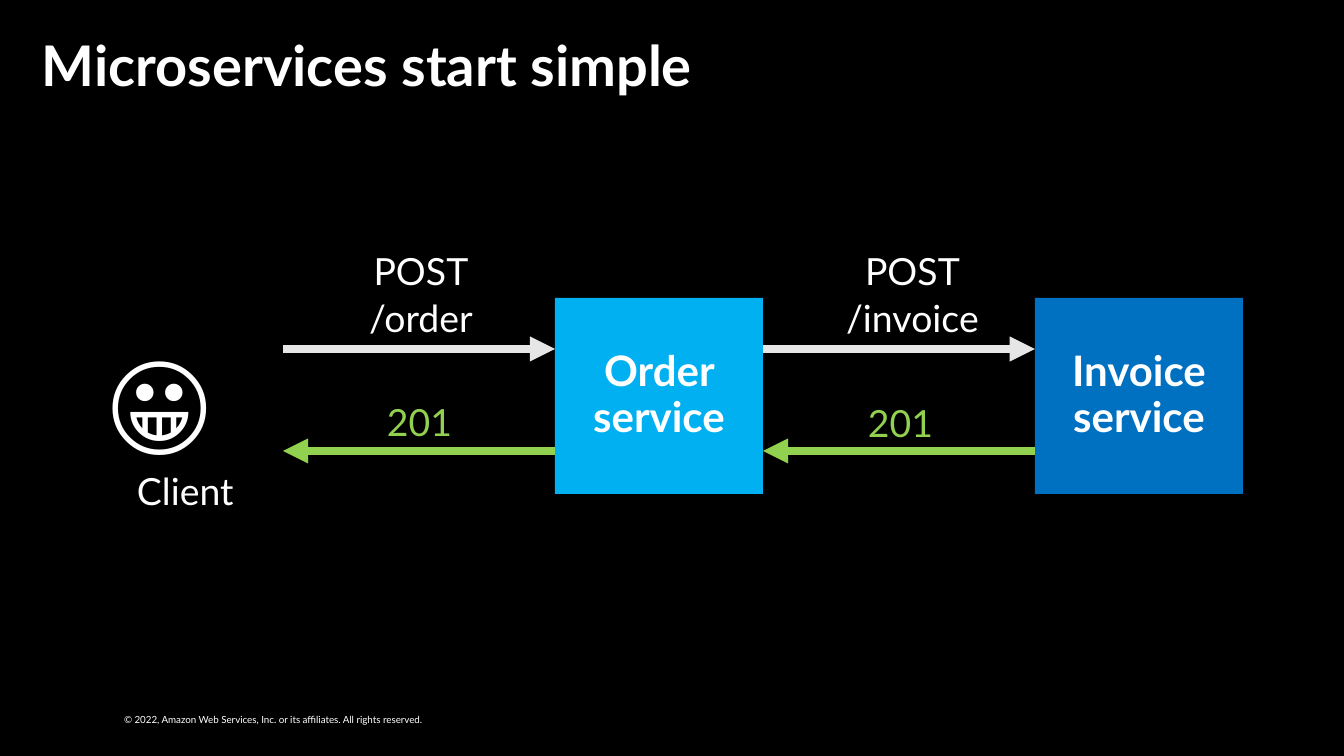
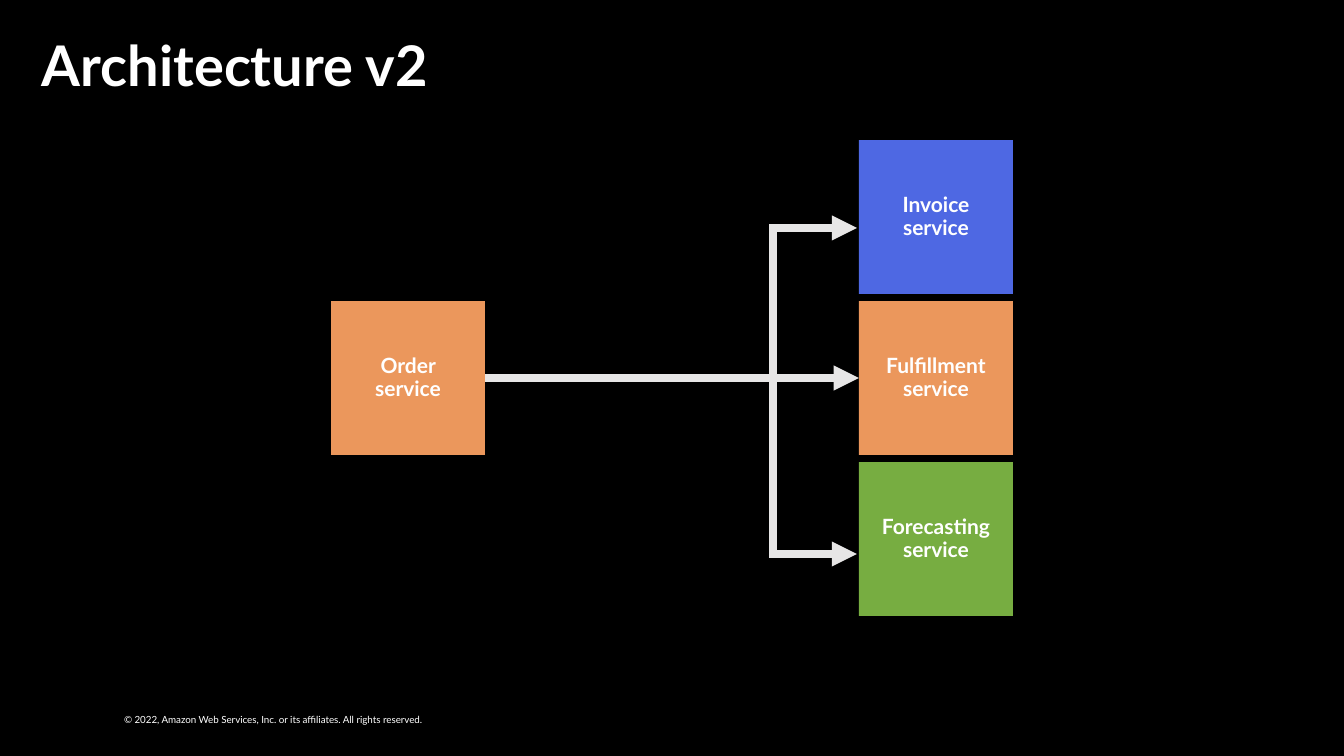
from dataclasses import dataclass

from lxml import etree
from pptx import Presentation
from pptx.dml.color import RGBColor
from pptx.enum.shapes import MSO_CONNECTOR, MSO_SHAPE
from pptx.enum.text import MSO_ANCHOR, MSO_AUTO_SIZE, PP_ALIGN
from pptx.oxml.ns import qn
from pptx.util import Emu, Pt

RECTANGLE = MSO_SHAPE.RECTANGLE
STRAIGHT = MSO_CONNECTOR.STRAIGHT
TOP, MIDDLE = MSO_ANCHOR.TOP, MSO_ANCHOR.MIDDLE
LEFT, CENTER = PP_ALIGN.LEFT, PP_ALIGN.CENTER
FIT_SHAPE, NO_FIT = MSO_AUTO_SIZE.SHAPE_TO_FIT_TEXT, MSO_AUTO_SIZE.NONE
SIDE_LEFT, SIDE_RIGHT = 1, 3
TITLE_ONLY = 5


@dataclass(frozen=True)
class Theme:
    font: str = "Lato"
    background: str = "000000"
    text: str = "FFFFFF"
    request: str = "E7E6E6"
    response: str = "92D050"
    cyan: str = "00B0F0"
    blue: str = "0070C0"
    indigo: str = "4E68E3"
    orange: str = "EB975C"
    green: str = "77AD41"
    title_size: float = 40
    footer_size: float = 7
    label_size: float = 26.7
    large_box_size: float = 30
    small_box_size: float = 15
    face_size: float = 80
    arrow_width: float = 6


THEME = Theme()
SCALE = 914400 / 100.8
SLIDE_SIZE = (1344, 756)
PADDING = (17, 13)

TITLE_AREA = (42, 33, 1260, 72)
FOOTER_AREA = (124, 714, 436, 12)
FOOTER = "© 2022, Amazon Web Services, Inc. or its affiliates. All rights reserved."

SIMPLE_TITLE = "Microservices start simple"
CLIENT = ("Client", (120, 460, 134, 67))
CLIENT_FACE = ("😀", (99, 324, 175, 281))
CALLS = [
    {
        "service": "Order service",
        "color": THEME.cyan,
        "request": (["POST", "/order"], (349, 240, 144, 116)),
        "response": (["201"], (370, 391, 102, 68)),
    },
    {
        "service": "Invoice service",
        "color": THEME.blue,
        "request": (["POST", "/invoice"], (827, 240, 171, 116)),
        "response": (["201"], (851, 392, 102, 68)),
    },
]
CALL_BOX = (555, 298, 208, 196)
CALL_LENGTH = 272
REQUEST_Y, RESPONSE_Y = 349, 451

ARCHITECTURE_TITLE = "Architecture v2"
SOURCE = ("Order service", THEME.orange)
TARGETS = [
    ("Invoice service", THEME.indigo),
    ("Fulfillment service", THEME.orange),
    ("Forecasting service", THEME.green),
]
BOX_SIDE = 154
BOX_GAP = 7
SOURCE_X, TARGET_X, TARGET_TOP = 331, 859, 140
BRANCH = [(857, 228), (773, 228), (773, 554), (857, 554)]


def px(value):
    return Emu(round(value * SCALE))


def place(area):
    return [px(value) for value in area]


def rgb(color):
    return RGBColor.from_string(color)


def fill_frame(frame, lines, size, color=THEME.text, bold=False, align=LEFT,
               spacing=0.9, after=0, padding=PADDING, anchor=TOP):
    frame.margin_left = frame.margin_right = px(padding[0])
    frame.margin_top = frame.margin_bottom = px(padding[1])
    frame.vertical_anchor = anchor
    frame.text = "\n".join(lines)
    for paragraph in frame.paragraphs:
        paragraph.alignment = align
        paragraph.line_spacing = spacing
        paragraph.space_before = Pt(0)
        paragraph.space_after = Pt(after)
        paragraph.font.name = THEME.font
        paragraph.font.size = Pt(size)
        paragraph.font.bold = bold
        paragraph.font.color.rgb = rgb(color)


def add_label(slide, lines, area, size=THEME.label_size, wrap=False, **style):
    frame = slide.shapes.add_textbox(*place(area)).text_frame
    frame.word_wrap = wrap
    frame.auto_size = FIT_SHAPE
    fill_frame(frame, lines, size, **style)


def add_service(slide, name, color, area, size):
    service = slide.shapes.add_shape(RECTANGLE, *place(area))
    service.shadow.inherit = False
    service.fill.solid()
    service.fill.fore_color.rgb = rgb(color)
    service.line.fill.background()
    service.text_frame.word_wrap = True
    fill_frame(service.text_frame, [name], size, bold=True, align=CENTER,
               anchor=MIDDLE)
    return service


def style_arrow(arrow, color, ends=("tailEnd",)):
    arrow.line.width = Pt(THEME.arrow_width)
    arrow.line.color.rgb = rgb(color)
    outline = arrow._element.spPr.find(qn("a:ln"))
    etree.SubElement(outline, qn("a:miter"), lim="800000")
    for end in ends:
        etree.SubElement(outline, qn("a:" + end), type="triangle")


def add_arrow(slide, start, finish, color):
    arrow = slide.shapes.add_connector(STRAIGHT, *place(start + finish))
    style_arrow(arrow, color)
    etree.SubElement(arrow._element.spPr, qn("a:effectLst"))
    return arrow


def add_branch(slide, points, color):
    start, *rest = points
    builder = slide.shapes.build_freeform(*start, scale=SCALE)
    builder.add_line_segments(rest, close=False)
    branch = builder.convert_to_shape()
    branch.shadow.inherit = False
    branch.fill.background()
    style_arrow(branch, color, ("headEnd", "tailEnd"))


def add_titled_slide(prs, title):
    slide = prs.slides.add_slide(prs.slide_layouts[TITLE_ONLY])
    heading = slide.shapes.title
    heading.left, heading.top, heading.width, heading.height = place(TITLE_AREA)
    heading.text_frame.word_wrap = True
    heading.text_frame.auto_size = NO_FIT
    fill_frame(heading.text_frame, [title], THEME.title_size, bold=True,
               padding=(0, 5))
    add_label(slide, [FOOTER], FOOTER_AREA, THEME.footer_size, wrap=True,
              spacing=1.0, padding=(0, 0))
    return slide


def build_simple(prs):
    slide = add_titled_slide(prs, SIMPLE_TITLE)
    left, top, width, height = CALL_BOX
    for index, call in enumerate(CALLS):
        box_x = left + index * (width + CALL_LENGTH)
        caller_x = box_x - CALL_LENGTH
        add_service(slide, call["service"], call["color"],
                    (box_x, top, width, height), THEME.large_box_size)
        add_arrow(slide, (caller_x, REQUEST_Y), (box_x, REQUEST_Y), THEME.request)
        add_arrow(slide, (box_x, RESPONSE_Y), (caller_x, RESPONSE_Y), THEME.response)
        add_label(slide, *call["request"], align=CENTER, after=5)
        add_label(slide, *call["response"], color=THEME.response, after=15)
    name, name_area = CLIENT
    add_label(slide, [name], name_area, after=15)
    face, face_area = CLIENT_FACE
    add_label(slide, [face], face_area, THEME.face_size, spacing=1.0,
              padding=(10, 5))


def build_architecture(prs):
    slide = add_titled_slide(prs, ARCHITECTURE_TITLE)
    pitch = BOX_SIDE + BOX_GAP
    middle = len(TARGETS) // 2
    source_y = TARGET_TOP + middle * pitch
    source = add_service(slide, *SOURCE, (SOURCE_X, source_y, BOX_SIDE, BOX_SIDE),
                         THEME.small_box_size)
    targets = [
        add_service(slide, name, color,
                    (TARGET_X, TARGET_TOP + row * pitch, BOX_SIDE, BOX_SIDE),
                    THEME.small_box_size)
        for row, (name, color) in enumerate(TARGETS)
    ]
    add_branch(slide, BRANCH, THEME.request)
    center_y = source_y + BOX_SIDE // 2
    trunk = add_arrow(slide, (SOURCE_X + BOX_SIDE, center_y), (TARGET_X, center_y),
                      THEME.request)
    trunk.begin_connect(source, SIDE_RIGHT)
    trunk.end_connect(targets[middle], SIDE_LEFT)


def main():
    prs = Presentation()
    prs.slide_width, prs.slide_height = place(SLIDE_SIZE)
    backdrop = prs.slide_master.background.fill
    backdrop.solid()
    backdrop.fore_color.rgb = rgb(THEME.background)
    build_simple(prs)
    build_architecture(prs)
    prs.save("out.pptx")


if __name__ == "__main__":
    main()
